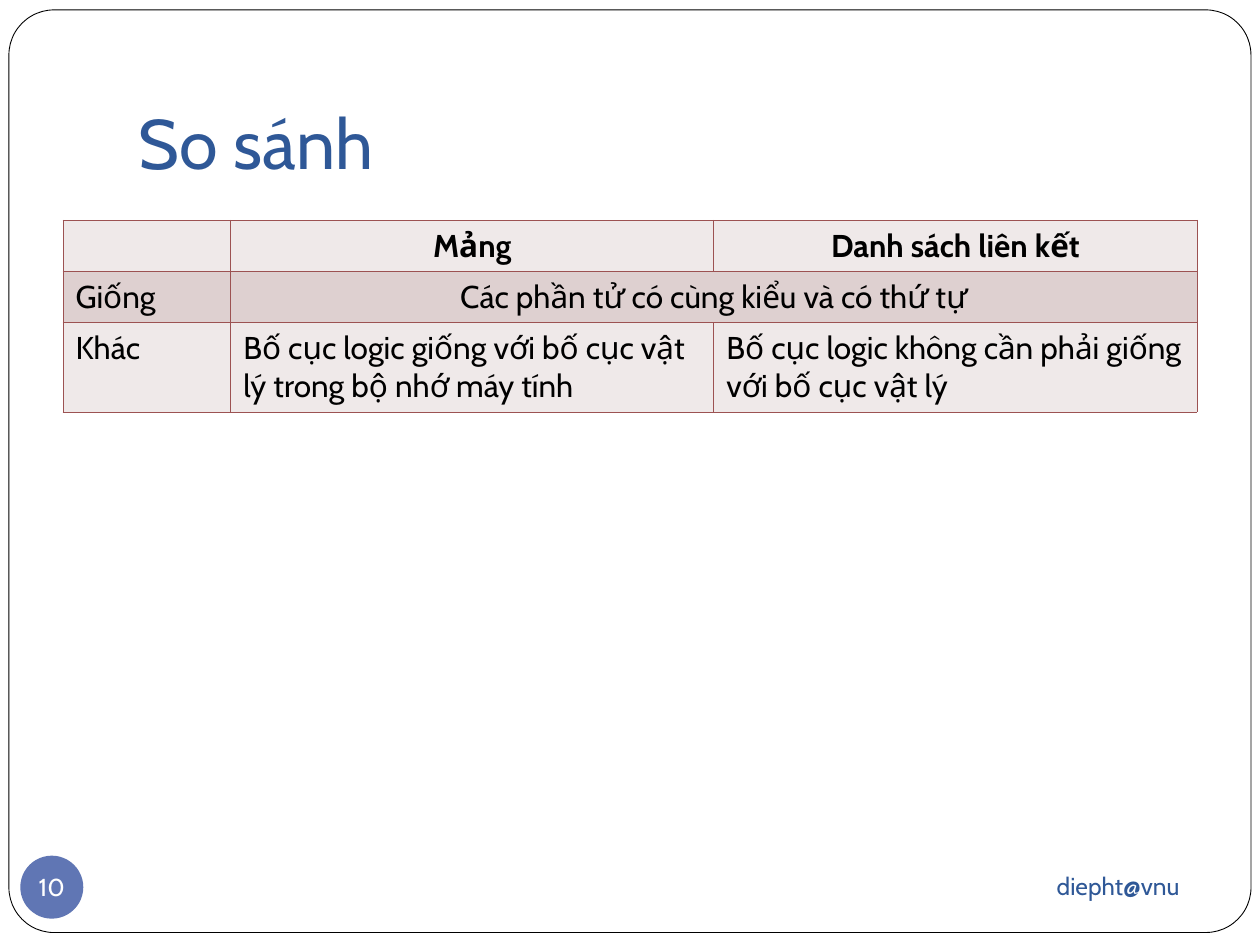
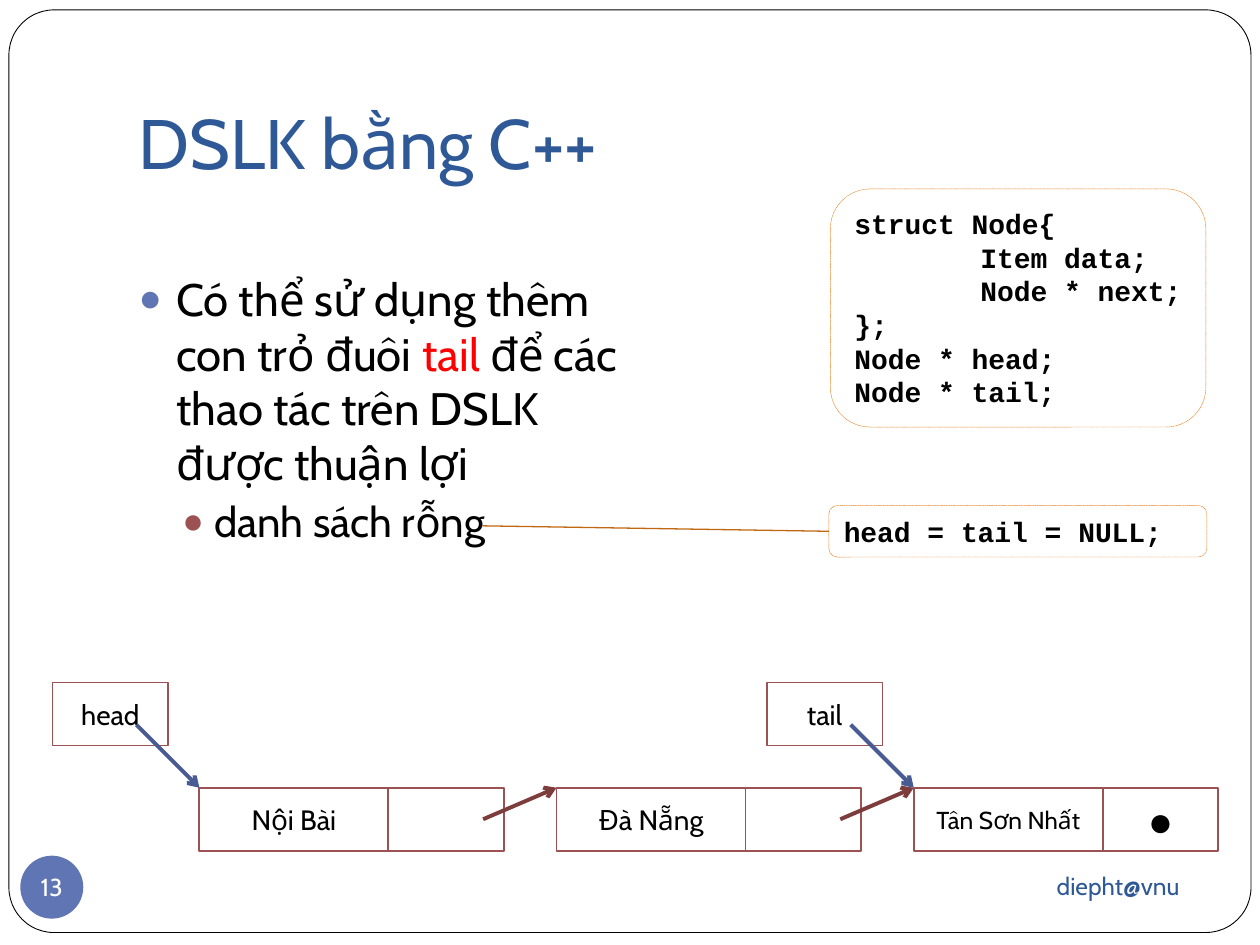
from dataclasses import dataclass

from lxml import etree
from pptx import Presentation
from pptx.dml.color import RGBColor
from pptx.enum.dml import MSO_LINE
from pptx.enum.shapes import MSO_CONNECTOR, MSO_SHAPE
from pptx.enum.text import MSO_ANCHOR, MSO_AUTO_SIZE, PP_ALIGN
from pptx.oxml.ns import qn
from pptx.util import Cm, Pt

LEFT, CENTER, RIGHT = PP_ALIGN.LEFT, PP_ALIGN.CENTER, PP_ALIGN.RIGHT
TOP, MIDDLE, BOTTOM = MSO_ANCHOR.TOP, MSO_ANCHOR.MIDDLE, MSO_ANCHOR.BOTTOM
RECTANGLE, ROUNDED, OVAL = MSO_SHAPE.RECTANGLE, MSO_SHAPE.ROUNDED_RECTANGLE, MSO_SHAPE.OVAL
STRAIGHT = MSO_CONNECTOR.STRAIGHT
SHORT_DASH = MSO_LINE.SQUARE_DOT
NO_FIT, GROW = MSO_AUTO_SIZE.NONE, MSO_AUTO_SIZE.SHAPE_TO_FIT_TEXT
LEFT_SIDE = 1


@dataclass(frozen=True)
class Theme:
    font: str = "Cabin"
    code_font: str = "Courier New"
    symbol_font: str = "Arial"
    ink: str = "000000"
    paper: str = "FFFFFF"
    title: str = "2F5897"
    accent: str = "6076B4"
    brick: str = "9C5252"
    dark_brick: str = "7E3D3D"
    dark_blue: str = "485B92"
    orange: str = "E68422"
    dark_orange: str = "BF6811"
    highlight: str = "FF0000"
    light_row: str = "EFE9E9"
    dark_row: str = "DED0D0"
    title_size: int = 40
    body_size: int = 26
    sub_size: int = 24
    table_size: int = 18
    node_size: int = 16
    small_size: int = 14


THEME = Theme()

# Linked list geometry, in centimetres
NODE_LEFT, NODE_TOP, NODE_PITCH = 4.02, 15.88, 7.2
DATA_WIDTH, LINK_WIDTH, CELL_HEIGHT = 3.81, 2.33, 1.27


def color(code):
    return RGBColor.from_string(code)


def style_runs(para, size, ink=THEME.ink, font=THEME.font, bold=False):
    for span in para.runs:
        span.font.name = font
        span.font.size = Pt(size)
        span.font.bold = bold
        span.font.color.rgb = color(ink)


def set_frame(frame, anchor, wrap=True, fit=NO_FIT, inset=None):
    frame.vertical_anchor = anchor
    frame.word_wrap = wrap
    frame.auto_size = fit
    if inset is not None:
        frame.margin_left = frame.margin_right = Cm(inset)
        frame.margin_top = frame.margin_bottom = Cm(inset)


def place(item, left, top, width, height):
    item.left, item.top = Cm(left), Cm(top)
    item.width, item.height = Cm(width), Cm(height)


# Shapes and lines

def add_box(shapes, kind, area, line=None, weight=1, fill=THEME.paper):
    box = shapes.add_shape(kind, *map(Cm, area))
    box.shadow.inherit = False
    box.fill.solid()
    box.fill.fore_color.rgb = color(fill)
    if line:
        box.line.color.rgb = color(line)
        box.line.width = Pt(weight)
    else:
        box.line.fill.background()
    return box


def label(box, text, size=THEME.node_size, ink=THEME.ink, font=THEME.font, align=CENTER):
    box.text_frame.text = text
    para = box.text_frame.paragraphs[0]
    para.alignment = align
    style_runs(para, size, ink, font)
    set_frame(box.text_frame, MIDDLE)


def add_line(page, start, end, ink, weight, arrow=False):
    line = page.shapes.add_connector(STRAIGHT, *map(Cm, (*start, *end)))
    line.line.color.rgb = color(ink)
    line.line.width = Pt(weight)
    if arrow:
        etree.SubElement(line.line._get_or_add_ln(), qn("a:tailEnd"), type="arrow")
    etree.SubElement(line.element.spPr, qn("a:effectLst"))
    return line


def add_code(page, area, lines, wrap):
    box = add_box(page.shapes, ROUNDED, area, THEME.orange, 0.25)
    box.line.dash_style = SHORT_DASH
    box.text_frame.text = "\n".join(lines)
    for para in box.text_frame.paragraphs:
        para.alignment = LEFT
        tabs = etree.SubElement(para._p.get_or_add_pPr(), qn("a:tabLst"))
        etree.SubElement(tabs, qn("a:tab"), pos=str(Cm(2.54)), algn="l")
        style_runs(para, THEME.node_size, font=THEME.code_font, bold=True)
    set_frame(box.text_frame, TOP, wrap, GROW)
    return box


# Page furniture

def add_page(deck, layout, title, number):
    page = deck.slides.add_slide(deck.slide_layouts[layout])
    border = add_box(page.shapes, ROUNDED, (0.18, 0.2, 25.04, 18.6), THEME.ink, 0.5)
    border.adjustments[0] = 0.049
    page.shapes.element.insert(2, border.element)

    heading = page.shapes.title
    place(heading, 2.54, 0.76, 21.59, 3.18)
    label(heading, title, THEME.title_size, THEME.title, align=LEFT)
    heading.text_frame.vertical_anchor = BOTTOM
    heading.text_frame.margin_bottom = Cm(0.25)

    footer = page.shapes.add_textbox(*map(Cm, (17.15, 17.2, 6.88, 1.32)))
    label(footer, "diepht@vnu", THEME.small_size, THEME.title, align=RIGHT)

    badge = add_box(page.shapes, OVAL, (0.41, 17.25, 1.27, 1.27), fill=THEME.accent)
    label(badge, str(number), THEME.small_size, THEME.paper)
    set_frame(badge.text_frame, MIDDLE, wrap=False, inset=0)
    return page


# Bulleted text

def format_bullet(para, level, size, bullet_color, margin, hanging, before):
    para.level = level
    para.alignment = LEFT
    para.space_before = Pt(before)
    props = para._p.get_or_add_pPr()
    props.set("marL", str(Cm(margin)))
    props.set("indent", str(-Cm(hanging)))
    tint = etree.SubElement(props, qn("a:buClr"))
    etree.SubElement(tint, qn("a:srgbClr"), val=bullet_color)
    etree.SubElement(props, qn("a:buSzPct"), val="85000")
    etree.SubElement(props, qn("a:buFont"), typeface=THEME.symbol_font)
    etree.SubElement(props, qn("a:buChar"), char="●")
    style_runs(para, size)


def fill_body(page):
    body = page.placeholders[1]
    place(body, 2.54, 5.34, 10.41, 11.37)
    frame = body.text_frame
    set_frame(frame, TOP)
    main_point = frame.paragraphs[0]
    for text in ("Có thể sử dụng thêm con trỏ đuôi ", "tail",
                 " để các thao tác trên DSLK được thuận lợi"):
        main_point.add_run().text = text
    format_bullet(main_point, 0, THEME.body_size, THEME.accent, 0.76, 0.76, 0)
    main_point.runs[1].font.color.rgb = color(THEME.highlight)
    sub_point = frame.add_paragraph()
    sub_point.text = "danh sách rỗng"
    format_bullet(sub_point, 1, THEME.sub_size, THEME.brick, 1.52, 0.64, 3.7)


# Comparison table

def format_cell(cell, fill, align, bold):
    props = cell._tc.get_or_add_tcPr()
    for side in ("lnL", "lnR", "lnT", "lnB"):
        edge = etree.SubElement(props, qn(f"a:{side}"), w=str(Pt(0.45)))
        solid = etree.SubElement(edge, qn("a:solidFill"))
        etree.SubElement(solid, qn("a:srgbClr"), val=THEME.brick)
    cell.fill.solid()
    cell.fill.fore_color.rgb = color(fill)
    para = cell.text_frame.paragraphs[0]
    para.alignment = align
    style_runs(para, THEME.table_size, bold=bold)


def add_comparison(page):
    rows = (
        ("", "Mảng", "Danh sách liên kết"),
        ("Giống", "Các phần tử có cùng kiểu và có thứ tự", ""),
        ("Khác", "Bố cục logic giống với bố cục vật lý trong bộ nhớ máy tính",
         "Bố cục logic không cần phải giống với bố cục vật lý"),
    )
    widths, heights = (3.38, 9.74, 9.74), (1.03, 1.03, 1.8)
    table = page.shapes.add_table(
        len(rows), len(widths), Cm(1.27), Cm(4.44), Cm(sum(widths)), Cm(sum(heights))).table
    table.horz_banding = False
    for column, width in zip(table.columns, widths):
        column.width = Cm(width)
    for r, (texts, height) in enumerate(zip(rows, heights)):
        table.rows[r].height = Cm(height)
        for c, text in enumerate(texts):
            cell = table.cell(r, c)
            cell.text = text
            format_cell(cell, THEME.dark_row if r == 1 else THEME.light_row,
                        CENTER if r < 2 and c else LEFT, bold=r == 0)
    table.cell(1, 1).merge(table.cell(1, 2))


# Linked list diagram

def node_left(index):
    return NODE_LEFT + index * NODE_PITCH


def add_node(page, index, name, size, mark=""):
    cells = page.shapes.add_group_shape().shapes
    left = node_left(index)
    data = add_box(cells, RECTANGLE, (left, NODE_TOP, DATA_WIDTH, CELL_HEIGHT), THEME.brick)
    label(data, name, size)
    link = add_box(cells, RECTANGLE,
                   (left + DATA_WIDTH, NODE_TOP, LINK_WIDTH, CELL_HEIGHT), THEME.brick)
    if mark:
        label(link, mark, THEME.sub_size, font=THEME.symbol_font)


def add_link(page, index):
    start = (node_left(index) + 5.72, NODE_TOP + CELL_HEIGHT / 2)
    add_line(page, start, (node_left(index + 1), NODE_TOP), THEME.dark_brick, 2.25, arrow=True)


def add_pointer(page, index, name):
    left = node_left(index)
    box = add_box(page.shapes, RECTANGLE, (left - 2.96, 13.76, LINK_WIDTH, CELL_HEIGHT),
                  THEME.brick)
    label(box, name)
    add_line(page, (left - 1.27, NODE_TOP - 1.27), (left, NODE_TOP),
             THEME.dark_blue, 2.25, arrow=True)


def add_linked_list(page):
    add_node(page, 0, "Nội Bài", THEME.node_size)
    add_node(page, 1, "Đà Nẵng", THEME.node_size)
    add_node(page, 2, "Tân Sơn Nhất", THEME.small_size, "●")
    for index in range(2):
        add_link(page, index)
    add_pointer(page, 0, "head")
    add_pointer(page, 2, "tail")


def main():
    deck = Presentation()
    deck.slide_width, deck.slide_height = Cm(25.4), Cm(19.05)

    # Arrays against linked lists
    add_comparison(add_page(deck, 5, "So sánh", 10))

    # Linked list in C++
    page = add_page(deck, 1, "DSLK bằng C++", 13)
    fill_body(page)
    add_code(page, (16.74, 3.81, 7.57, 4.8),
             ("struct Node{", "\tItem data;", "\tNode * next;", "};",
              "Node * head;", "Node * tail;"), wrap=False)
    empty_list = add_code(page, (16.71, 10.19, 7.62, 1.04), ("head = tail = NULL;",), wrap=True)
    callout = add_line(page, (9.73, 10.6), (16.71, 10.6), THEME.dark_orange, 0.75)
    callout.end_connect(empty_list, LEFT_SIDE)
    add_linked_list(page)

    deck.save("out.pptx")


if __name__ == "__main__":
    main()
